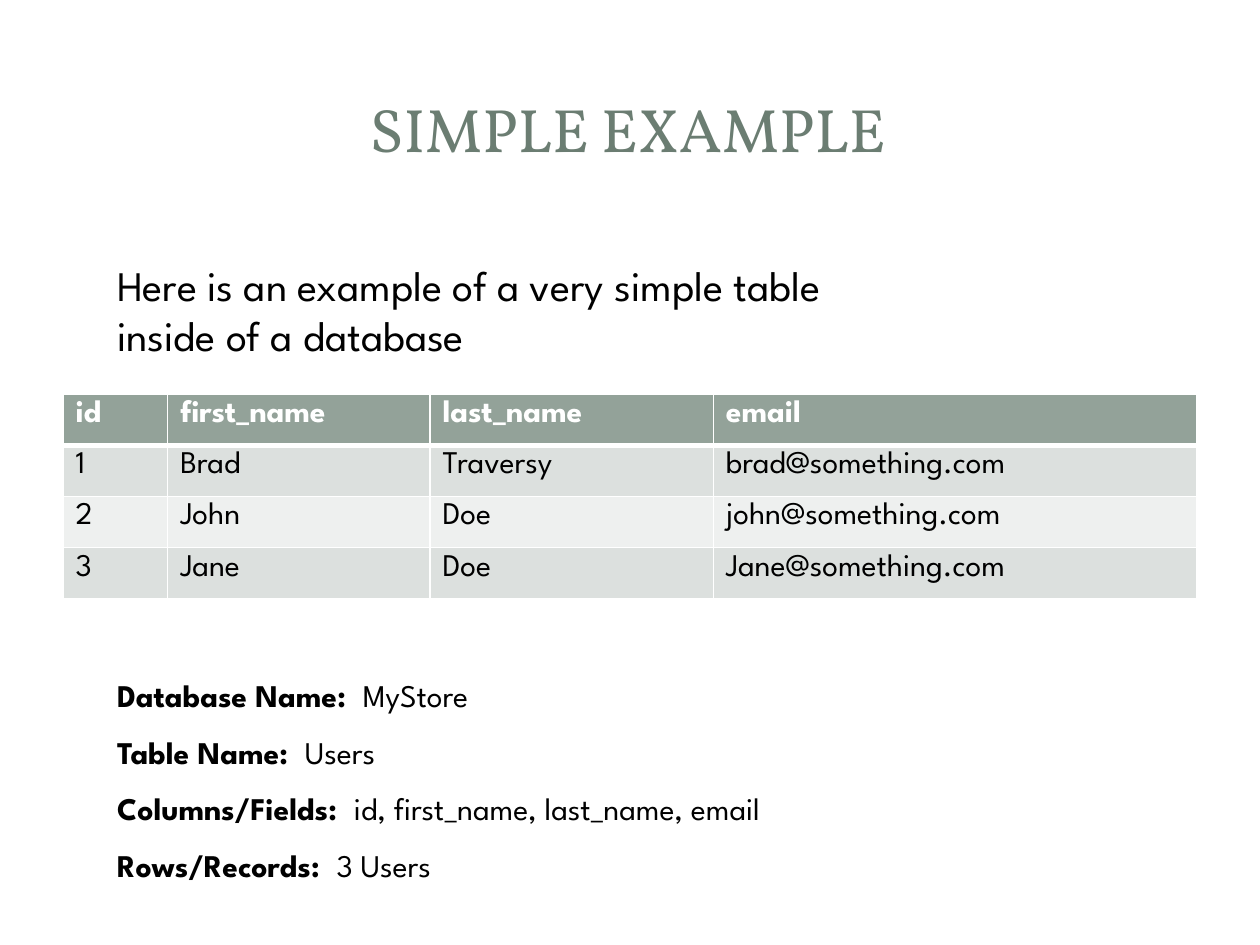
from dataclasses import dataclass
from lxml.etree import SubElement
from pptx import Presentation
from pptx.dml.color import RGBColor
from pptx.enum.shapes import MSO_SHAPE
from pptx.enum.text import MSO_ANCHOR, PP_ALIGN
from pptx.oxml.ns import qn
from pptx.slide import Slide
from pptx.util import Cm, Pt


def color(value):
    return RGBColor.from_string(value)


@dataclass
class SlideBuilder:
    """Holds the style and the current slide."""

    slide: Slide
    body_font: str = "League Spartan"
    title_font: str = "Vollkorn"
    title_color: str = "6B7D72"
    text_color: str = "000000"
    header_fill: str = "93A299"
    band_fills: tuple = ("DCE0DE", "EEF0EF")
    white: str = "FFFFFF"

    def style(self, font, size, value, name=None):
        font.name = name or self.body_font
        font.size = Pt(size)
        font.color.rgb = color(value)

    def panel(self, left, top, width, height, rounding=None, opacity=None):
        kind = MSO_SHAPE.ROUNDED_RECTANGLE if rounding else MSO_SHAPE.RECTANGLE
        shape = self.slide.shapes.add_shape(kind, Cm(left), Cm(top), Cm(width), Cm(height))
        shape.shadow.inherit = False
        shape.line.fill.background()
        shape.fill.solid()
        shape.fill.fore_color.rgb = color(self.white)
        if rounding:
            shape.adjustments[0] = rounding
        if opacity:
            fill_color = shape._element.spPr.find(qn("a:solidFill"))[0]
            SubElement(fill_color, qn("a:alpha"), val=str(opacity * 1000))

    def text_frame(self, left, top, width, height):
        box = self.slide.shapes.add_textbox(Cm(left), Cm(top), Cm(width), Cm(height))
        box.text_frame.word_wrap = True
        return box.text_frame

    def title(self, text, *place):
        frame = self.text_frame(*place)
        frame.vertical_anchor = MSO_ANCHOR.MIDDLE
        paragraph = frame.paragraphs[0]
        paragraph.text = text
        paragraph.alignment = PP_ALIGN.CENTER
        self.style(paragraph.font, 35, self.title_color, self.title_font)

    def text(self, text, *place):
        paragraph = self.text_frame(*place).paragraphs[0]
        paragraph.text = text
        self.style(paragraph.font, 24, self.text_color)

    def facts(self, facts, *place):
        frame = self.text_frame(*place)
        for index, (label, value) in enumerate(facts):
            paragraph = frame.add_paragraph() if index else frame.paragraphs[0]
            paragraph.line_spacing = 1.5
            self.style(paragraph.font, 18, self.text_color)
            for text, bold in ((f"{label}:  ", True), (value, False)):
                run = paragraph.add_run()
                run.text = text
                run.font.bold = bold

    def border(self, cell, side, width):
        properties = cell._tc.get_or_add_tcPr()
        line = SubElement(properties, qn(f"a:ln{side}"), w=str(Pt(width)))
        fill = SubElement(line, qn("a:solidFill"))
        SubElement(fill, qn("a:srgbClr"), val=self.white)

    def table(self, rows, left, top, widths, row_height):
        table = self.slide.shapes.add_table(
            len(rows), len(widths), Cm(left), Cm(top),
            Cm(sum(widths)), Cm(row_height * len(rows))).table
        for column, width in zip(table.columns, widths):
            column.width = Cm(width)
        for row_index, values in enumerate(rows):
            table.rows[row_index].height = Cm(row_height)
            header = row_index == 0
            for column_index, value in enumerate(values):
                cell = table.cell(row_index, column_index)
                paragraph = cell.text_frame.paragraphs[0]
                paragraph.text = value
                self.style(paragraph.font, 18, self.white if header else self.text_color)
                paragraph.font.bold = header
                for side in "LRTB":
                    thick = (header and side == "B") or (row_index == 1 and side == "T")
                    self.border(cell, side, 3 if thick else 1)
                cell.fill.solid()
                fill = self.header_fill if header else self.band_fills[(row_index - 1) % 2]
                cell.fill.fore_color.rgb = color(fill)


presentation = Presentation()
presentation.slide_width = Cm(25.4)
presentation.slide_height = Cm(19.05)
builder = SlideBuilder(presentation.slides.add_slide(presentation.slide_layouts[6]))

builder.panel(0.25, 0.28, 24.89, 18.52, rounding=0.017)
builder.panel(0.76, 0.76, 23.88, 3.68, opacity=83)
builder.panel(1.04, 1.04, 23.32, 3.1)
builder.title("SIMPLE EXAMPLE", 1.19, 1.13, 22.94, 2.9)
builder.table(
    [
        ("id", "first_name", "last_name", "email"),
        ("1", "Brad", "Traversy", "brad@something.com"),
        ("2", "John", "Doe", "john@something.com"),
        ("3", "Jane", "Doe", "Jane@something.com"),
    ],
    1.27, 7.95, (2.11, 5.29, 5.71, 9.74), 1.03)
builder.text("Here is an example of a very simple table inside of a database",
             2.11, 5.1, 16.5, 2.3)
builder.facts(
    [
        ("Database Name", "MyStore"),
        ("Table Name", "Users"),
        ("Columns/Fields", "id, first_name, last_name, email"),
        ("Rows/Records", "3 Users"),
    ],
    2.11, 13.12, 21.4, 4.88)

presentation.save("out.pptx")
